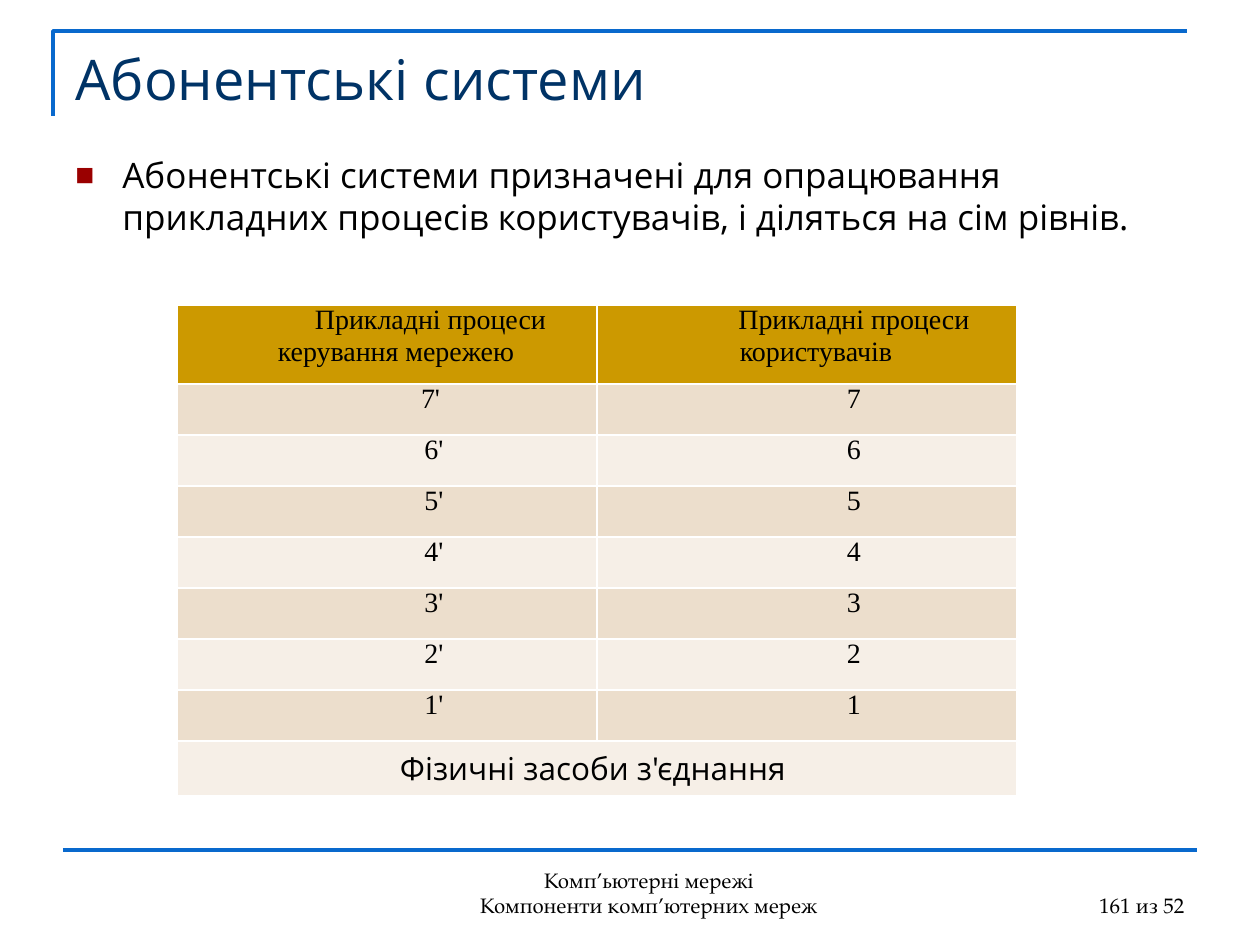
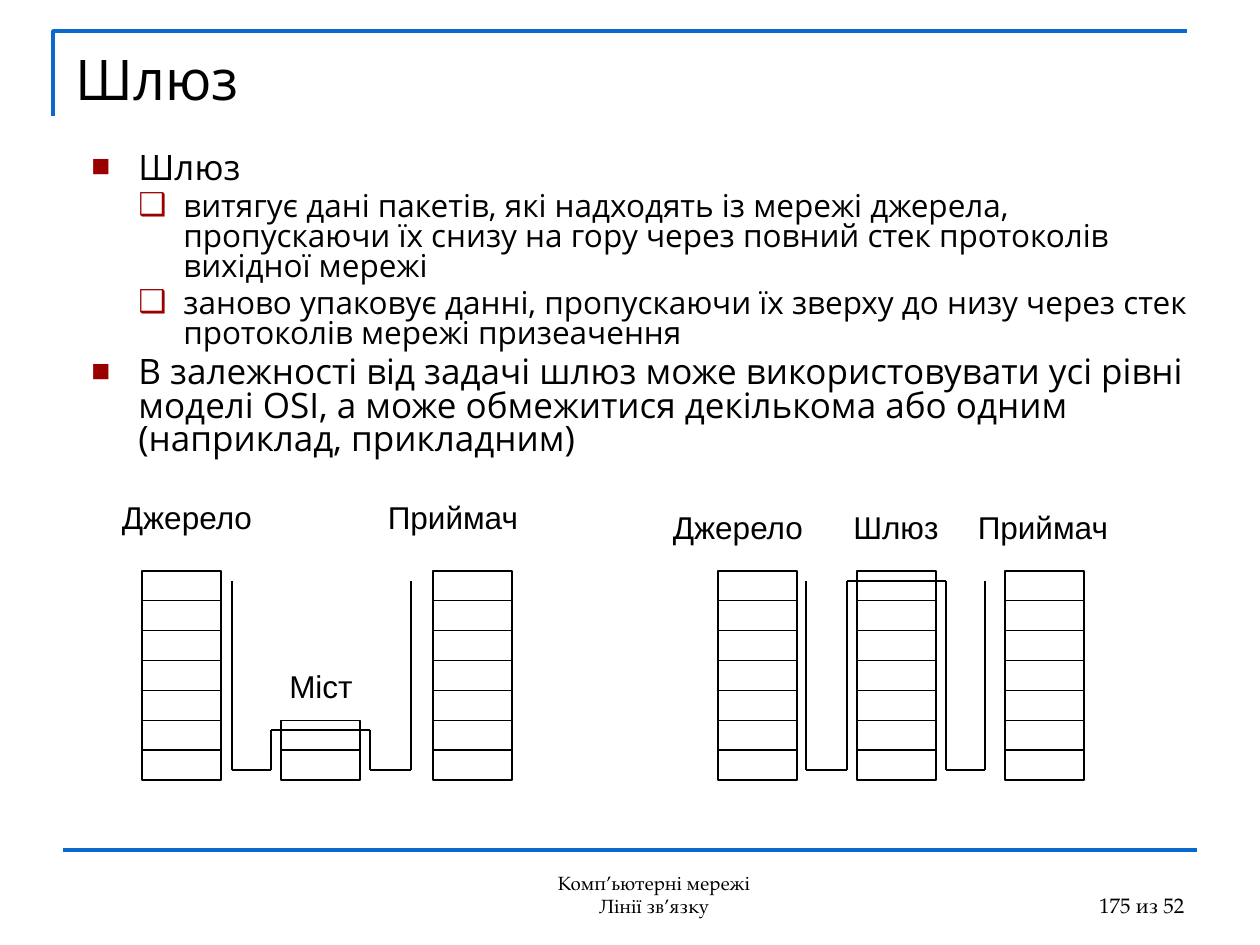
from itertools import pairwise

from lxml.etree import SubElement
from pptx import Presentation
from pptx.dml.color import RGBColor
from pptx.enum.lang import MSO_LANGUAGE_ID
from pptx.enum.shapes import MSO_CONNECTOR, MSO_SHAPE
from pptx.enum.text import MSO_ANCHOR, PP_ALIGN
from pptx.oxml import parse_xml
from pptx.oxml.ns import nsdecls, qn
from pptx.util import Emu, Pt

PX = 914400 // 126  # one pixel in EMU
COLORS = {
    "rule": "0969CD", "title": "003366", "text": "000000", "bullet": "9A0000",
    "header": "CC9900", "band_dark": "ECDECC", "band_light": "F6EFE7", "border": "FFFFFF",
}
SANS, SERIF, FOOTER_FONT, LABEL_FONT = "Open Sans", "Times New Roman", "TeX Gyre Pagella", "Arial"

SUBSCRIBERS = {
    "title": "Абонентські системи", "title_color": "title",
    "footer": "Комп\u2019ьютерні мережі\nКомпоненти комп\u2019ютерних мереж",
    "footer_width": 514, "footer_size": 12, "number": "161 из 52",
    "body_box": (63, 147, 1134, 137), "spacing": 1.0,
    "body": [(0, "Абонентські системи призначені для опрацювання прикладних процесів "
                 "користувачів, і діляться на сім рівнів.")],
}
GATEWAY = {
    "title": "Шлюз", "title_color": "text",
    "footer": "Комп\u2019ьютерні мережі\nЛінії зв\u2019язку",
    "footer_width": 524, "footer_size": 11, "number": "175 из 52",
    "body_box": (79, 147, 1134, 333), "spacing": 0.8,
    "body": [
        (0, "Шлюз"),
        (1, "витягує дані пакетів, які надходять із мережі джерела, пропускаючи їх "
            "снизу на гору через повний стек протоколів вихідної мережі"),
        (1, "заново упаковує данні, пропускаючи їх зверху до низу через стек "
            "протоколів мережі призеачення"),
        (0, "В залежності від задачі шлюз може використовувати усі рівні моделі OSI, "
            "а може обмежитися декількома або одним (наприклад, прикладним)"),
    ],
}
# level: (bullet, bullet size %, text size, left margin, hanging indent)
LEVELS = {0: ("■", 90, 20, 47, -47), 1: ("❑", 100, 18, 92, -45)}

TABLE_HEAD = ("Прикладні процеси керування мережею ", " Прикладні процеси користувачів ")
TABLE_FOOT = "Фізичні засоби з'єднання "
LAYERS = 7
TABLE_LEFT, TABLE_TOP, COLUMN_W = 177, 305, 420
HEAD_H, ROW_H, FOOT_H = 79, 51, 55

STACK_BASE, STACK_H, LAYER_W = 780, 209, 79
STACKS = [(142, 7), (433, 7), (281, 2), (718, 7), (857, 7), (1005, 7)]  # left, layers
# x of the four verticals, height of the middle crossing
ROUTES = [((232, 271, 370, 411), 730), ((806, 847, 946, 985), 581)]
ROUTE_TOP, ROUTE_BOTTOM = 581, 770
LABELS = [  # text, centre, top
    ("Джерело", 187, 492), ("Приймач", 453, 492), ("Міст", 321, 661),
    ("Джерело", 738, 502), ("Шлюз", 896, 502), ("Приймач", 1043, 502),
]
LABEL_W, LABEL_H = 178, 50


def px(*values):
    """Turn pixels into EMU lengths."""
    return [Emu(round(v * PX)) for v in values]


def rgb(name):
    """Look up a named colour."""
    return RGBColor.from_string(COLORS[name])


def style(p, size, font, color="text", align=None):
    """Format a paragraph and its runs."""
    p.alignment = align
    for r in p.runs:
        r.font.size, r.font.name = Pt(size), font
        r.font.color.rgb = rgb(color)
        r.font.language_id = MSO_LANGUAGE_ID.UKRAINIAN


def add_text(s, box, text, size, font, color="text", align=None, anchor=MSO_ANCHOR.TOP):
    """Add a wrapped text box in one style."""
    tf = s.shapes.add_textbox(*px(*box)).text_frame
    tf.word_wrap, tf.vertical_anchor = True, anchor
    tf.text = text
    for p in tf.paragraphs:
        style(p, size, font, color, align)


def add_line(s, start, end, color, width):
    """Add a straight connector without a shadow."""
    line = s.shapes.add_connector(MSO_CONNECTOR.STRAIGHT, *px(*start, *end))
    line.line.color.rgb, line.line.width = rgb(color), Pt(width)
    SubElement(line._element.spPr, qn("a:effectLst"))


def add_bullets(s, box, items, spacing):
    """Add a bulleted list of (level, text) items."""
    tf = s.shapes.add_textbox(*px(*box)).text_frame
    tf.word_wrap = True
    for i, (level, text) in enumerate(items):
        p = tf.add_paragraph() if i else tf.paragraphs[0]
        char, percent, size, margin, indent = LEVELS[level]
        p.text, p.level = text, level
        style(p, size, SANS)
        p.line_spacing, p.space_before = spacing, Pt(size * 0.2)
        pPr = p._p.get_or_add_pPr()
        pPr.set("marL", str(margin * PX))
        pPr.set("indent", str(indent * PX))
        SubElement(SubElement(pPr, qn("a:buClr")), qn("a:srgbClr"), val=COLORS["bullet"])
        SubElement(pPr, qn("a:buSzPct"), val=str(percent * 1000))
        SubElement(pPr, qn("a:buFont"), typeface=LABEL_FONT)
        SubElement(pPr, qn("a:buChar"), char=char)


def add_frame(s):
    """Draw the corner rule around the title and the rule above the footer."""
    builder = s.shapes.build_freeform(53, 116, scale=PX)
    builder.add_line_segments([(53, 31), (1187, 31)], close=False)
    corner = builder.convert_to_shape()
    corner.shadow.inherit = False
    corner.fill.background()
    corner.line.color.rgb, corner.line.width = rgb("rule"), Pt(2)
    add_line(s, (63, 850), (1197, 850), "rule", 2)


def add_page(prs, page):
    """Add a slide with the shared frame, title, list and footers."""
    s = prs.slides.add_slide(prs.slide_layouts[6])
    add_frame(s)
    add_text(s, (63, 38, 1134, 85), page["title"], 32, SANS, page["title_color"])
    add_bullets(s, page["body_box"], page["body"], page["spacing"])
    add_text(s, (392, 861, page["footer_width"], 63), page["footer"], page["footer_size"],
             FOOTER_FONT, align=PP_ALIGN.CENTER, anchor=MSO_ANCHOR.BOTTOM)
    add_text(s, (903, 861, 294, 63), page["number"], 12, FOOTER_FONT,
             align=PP_ALIGN.RIGHT, anchor=MSO_ANCHOR.BOTTOM)
    return s


def paint_cell(cell, fill):
    """Fill a cell and give it white borders."""
    cell.fill.solid()
    cell.fill.fore_color.rgb = rgb(fill)
    tcPr = cell._tc.get_or_add_tcPr()
    for i, side in enumerate("LRTB"):
        tcPr.insert(i, parse_xml(
            f'<a:ln{side} {nsdecls("a")} w="{Pt(1)}"><a:solidFill>'
            f'<a:srgbClr val="{COLORS["border"]}"/></a:solidFill></a:ln{side}>'))


def add_layer_table(s):
    """Add the table of layers with a merged last row."""
    numbers = [(f" {n}'" if n < LAYERS else f"{n}'", f" {n}") for n in range(LAYERS, 0, -1)]
    rows = [TABLE_HEAD] + numbers + [(TABLE_FOOT, "")]
    heights = [HEAD_H] + [ROW_H] * LAYERS + [FOOT_H]
    last = len(rows) - 1
    box = px(TABLE_LEFT, TABLE_TOP, 2 * COLUMN_W, sum(heights))
    table = s.shapes.add_table(len(rows), 2, *box).table
    table.first_row = table.horz_banding = False
    for column in table.columns:
        column.width = Emu(COLUMN_W * PX)
    table.cell(last, 0).merge(table.cell(last, 1))
    for i, (values, height) in enumerate(zip(rows, heights)):
        table.rows[i].height = Emu(height * PX)
        fill = "header" if i == 0 else "band_dark" if i % 2 else "band_light"
        for j, value in enumerate(values):
            cell = table.cell(i, j)
            paint_cell(cell, fill)
            if not value:
                continue
            cell.text = value
            p = cell.text_frame.paragraphs[0]
            if i == last:
                style(p, 18, SANS, align=PP_ALIGN.CENTER)
                continue
            style(p, 16, SERIF, align=PP_ALIGN.CENTER)
            p.space_after = Pt(6)
            pPr = p._p.get_or_add_pPr()
            pPr.set("marL", str(25 * PX))
            pPr.set("indent", str(62 * PX))
            cell.margin_left = cell.margin_right = Emu(9 * PX)
            cell.margin_top = cell.margin_bottom = 0


def add_stack(s, left, layers):
    """Draw a stack of protocol layers standing on the common base."""
    height = STACK_H / LAYERS
    for i in range(layers):
        top = STACK_BASE - (layers - i) * height
        layer = s.shapes.add_shape(MSO_SHAPE.RECTANGLE, *px(left, top, LAYER_W, height))
        layer.shadow.inherit = False
        layer.fill.background()
        layer.line.color.rgb, layer.line.width = rgb("text"), Pt(0.75)


def add_route(s, xs, crossing):
    """Draw the data path: down, up to the crossing, down and up again."""
    a, b, c, d = xs
    points = [(a, ROUTE_TOP), (a, ROUTE_BOTTOM), (b, ROUTE_BOTTOM), (b, crossing),
              (c, crossing), (c, ROUTE_BOTTOM), (d, ROUTE_BOTTOM), (d, ROUTE_TOP)]
    for start, end in pairwise(points):
        add_line(s, start, end, "text", 0.75)


prs = Presentation()
prs.slide_width, prs.slide_height = px(1260, 945)

add_layer_table(add_page(prs, SUBSCRIBERS))

s = add_page(prs, GATEWAY)
for left, layers in STACKS:
    add_stack(s, left, layers)
for xs, crossing in ROUTES:
    add_route(s, xs, crossing)
for text, centre, top in LABELS:
    add_text(s, (centre - LABEL_W / 2, top, LABEL_W, LABEL_H), text, 18, LABEL_FONT,
             align=PP_ALIGN.CENTER)

prs.save("out.pptx")
